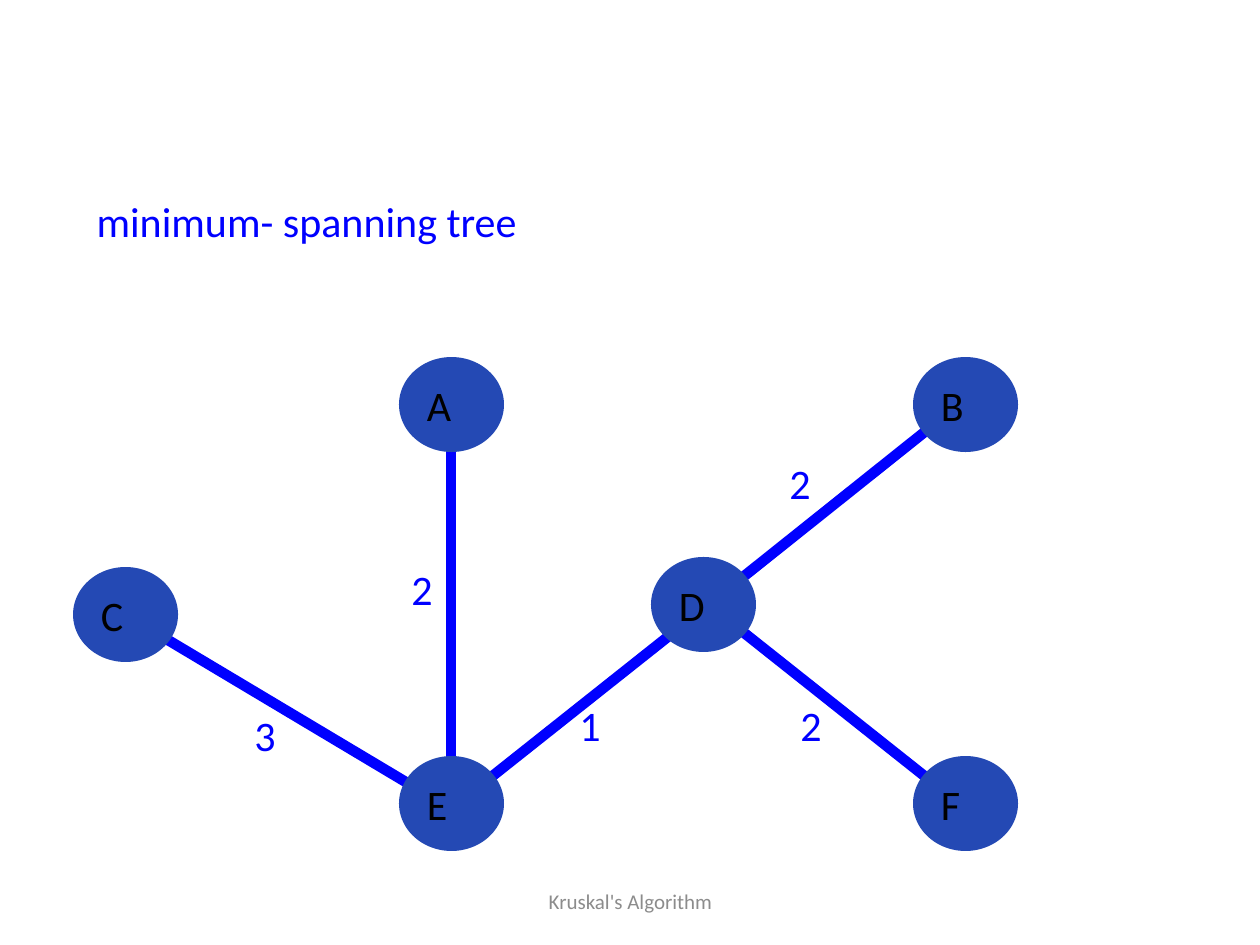
from dataclasses import dataclass
from typing import NamedTuple

from lxml.etree import SubElement
from pptx import Presentation
from pptx.dml.color import RGBColor as Rgb
from pptx.enum.shapes import MSO_CONNECTOR as Link, MSO_SHAPE as Form
from pptx.enum.text import MSO_ANCHOR as Anchor, MSO_AUTO_SIZE as Fit, PP_ALIGN as Align
from pptx.oxml.ns import qn
from pptx.util import Emu, Pt

SCALE = 914400 / 126


@dataclass(frozen=True)
class Theme:
    """Colours, font and sizes of the slide."""
    font: str = "Calibri"
    blue: Rgb = Rgb(0x00, 0x00, 0xFF)
    node: Rgb = Rgb(0x24, 0x49, 0xB4)
    black: Rgb = Rgb(0x00, 0x00, 0x00)
    grey: Rgb = Rgb(0x8C, 0x8C, 0x8C)
    large: int = 24
    small: int = 12
    stroke: int = 6


class Mark(NamedTuple):
    """A short text with the left top corner of its box."""
    text: str
    left: int
    top: int


class Edge(NamedTuple):
    """A tree edge between two points."""
    x1: int
    y1: int
    x2: int
    y2: int


THEME = Theme()
NODE_W, NODE_H, TAG = 105, 95, 63

EDGES = [
    Edge(451, 399, 451, 809),
    Edge(714, 609, 966, 809),
    Edge(703, 609, 451, 809),
    Edge(703, 609, 966, 399),
    Edge(116, 609, 451, 809),
]
NODES = [
    Mark("C", 73, 567),
    Mark("F", 913, 756),
    Mark("E", 399, 756),
    Mark("A", 399, 357),
    Mark("B", 913, 357),
    Mark("D", 651, 557),
]
COSTS = [
    Mark("3", 242, 703),
    Mark("2", 399, 557),
    Mark("1", 567, 693),
    Mark("2", 788, 693),
    Mark("2", 777, 451),
]


def px(*vals: int) -> list[Emu]:
    """Turn pixels into EMU."""
    return [Emu(round(val * SCALE)) for val in vals]


def write(shape, text: str, size: int, color: Rgb, align=Align.LEFT,
          anchor=Anchor.TOP, wrap: bool = True) -> None:
    """Put one formatted run into a shape."""
    frame = shape.text_frame
    frame.auto_size = Fit.NONE
    frame.word_wrap = wrap
    frame.vertical_anchor = anchor
    para = frame.paragraphs[0]
    para.alignment = align
    run = para.add_run()
    run.text = text
    run.font.name = THEME.font
    run.font.size = Pt(size)
    run.font.color.rgb = color


def draw_edge(slide, edge: Edge) -> None:
    """Draw one thick tree edge."""
    line = slide.shapes.add_connector(Link.STRAIGHT, *px(*edge))
    line.line.color.rgb = THEME.blue
    line.line.width = Pt(THEME.stroke)
    SubElement(line._element.spPr, qn("a:effectLst"))


def draw_node(slide, node: Mark) -> None:
    """Draw one named graph node."""
    oval = slide.shapes.add_shape(
        Form.OVAL, *px(node.left, node.top, NODE_W, NODE_H))
    oval.shadow.inherit = False
    oval.fill.solid()
    oval.fill.fore_color.rgb = THEME.node
    oval.line.fill.background()
    write(oval, node.text, THEME.large, THEME.black,
          anchor=Anchor.MIDDLE, wrap=False)


def draw_cost(slide, cost: Mark) -> None:
    """Draw the weight of one edge."""
    box = slide.shapes.add_textbox(*px(cost.left, cost.top, TAG, TAG))
    write(box, cost.text, THEME.large, THEME.blue)


def draw_title(slide) -> None:
    """Place and fill the title."""
    title = slide.shapes.title
    title.left, title.top, title.width, title.height = px(84, 189, 469, 63)
    write(title, "minimum- spanning tree", THEME.large, THEME.blue, wrap=False)


def draw_foot(slide) -> None:
    """Draw the footer line."""
    foot = slide.shapes.add_textbox(*px(431, 876, 399, 50))
    write(foot, "Kruskal's Algorithm", THEME.small, THEME.grey,
          Align.CENTER, Anchor.MIDDLE)


def main() -> None:
    """Build and save the slide."""
    deck = Presentation()
    deck.slide_width, deck.slide_height = px(1260, 945)
    slide = deck.slides.add_slide(deck.slide_layouts.get_by_name("Title Only"))
    draw_foot(slide)
    for edge in EDGES:
        draw_edge(slide, edge)
    for node in NODES:
        draw_node(slide, node)
    for cost in COSTS:
        draw_cost(slide, cost)
    draw_title(slide)
    deck.save("out.pptx")


main()
